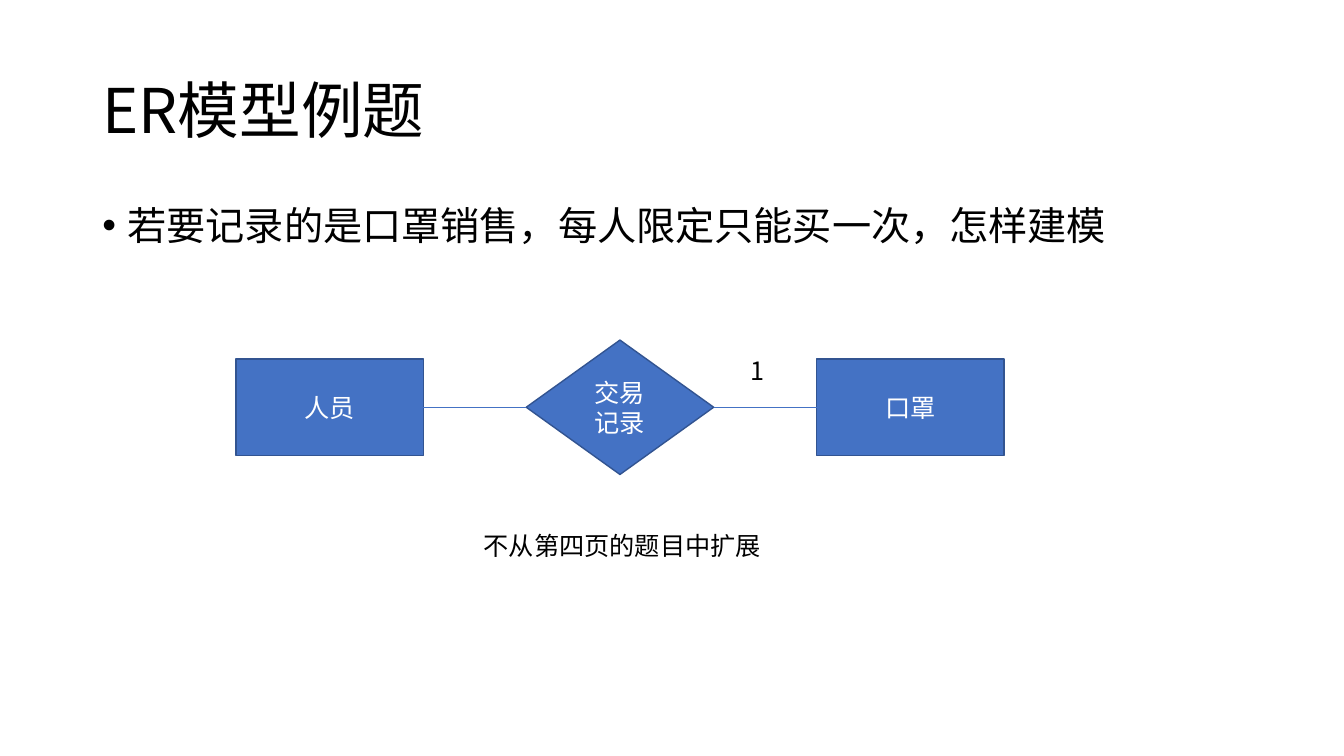
"""Build the slide with an ER model exercise on mask sales."""
from itertools import pairwise

from lxml.etree import SubElement
from pptx import Presentation
from pptx.dml.color import RGBColor
from pptx.enum.shapes import MSO_CONNECTOR, MSO_SHAPE
from pptx.enum.text import MSO_ANCHOR, PP_ALIGN
from pptx.oxml.ns import qn
from pptx.util import Pt

FONT = "Noto Sans CJK SC"
COLORS = {"text": "000000", "label": "FFFFFF", "fill": "4472C4", "outline": "325491"}
TITLE = ("ER模型例题", (66, 28.8, 828, 104.4))
QUESTION = ("若要记录的是口罩销售，每人限定只能买一次，怎样建模", (66, 144, 828, 342.7))
NOTES = [
    ("1", (529.2, 250.6, 33.8, 28.8)),
    ("不从第四页的题目中扩展", (338.4, 375.1, 383, 72.7)),
]
NODES = [
    ("人员", MSO_SHAPE.RECTANGLE, 69.1),
    ("交易记录", MSO_SHAPE.DIAMOND, 96),
    ("口罩", MSO_SHAPE.RECTANGLE, 69.1),
]
NODE_LEFT, NODE_WIDTH, NODE_STEP, NODE_MIDDLE = 168.5, 133.9, 207.4, 290.9
LEFT_SITE, RIGHT_SITE = 1, 3


def color(name):
    return RGBColor.from_string(COLORS[name])


def write(shape, text, size, ink="text", align=PP_ALIGN.LEFT, anchor=MSO_ANCHOR.TOP):
    frame = shape.text_frame
    frame.word_wrap = True
    frame.vertical_anchor = anchor
    para = frame.paragraphs[0]
    para.alignment = align
    span = para.add_run()
    span.text = text
    span.font.size = Pt(size)
    span.font.name = FONT
    span.font.color.rgb = color(ink)
    SubElement(span.font._element, qn("a:ea"), typeface=FONT)
    return para


def add_box(page, area):
    return page.shapes.add_textbox(*map(Pt, area))


def add_title(page):
    text, area = TITLE
    title = page.shapes.title
    title.left, title.top, title.width, title.height = map(Pt, area)
    write(title, text, 44, anchor=MSO_ANCHOR.MIDDLE).line_spacing = 0.9


def add_question(page):
    text, area = QUESTION
    para = write(add_box(page, area), text, 28)
    para.line_spacing = 0.9
    para.space_before = Pt(10)
    properties = para._p.get_or_add_pPr()
    properties.set("marL", str(Pt(18)))
    properties.set("indent", str(Pt(-18)))
    SubElement(properties, qn("a:buFont"), typeface="Arial")
    SubElement(properties, qn("a:buChar"), char="•")


def add_node(page, index, text, kind, height):
    left, top = NODE_LEFT + index * NODE_STEP, NODE_MIDDLE - height / 2
    node = page.shapes.add_shape(kind, Pt(left), Pt(top), Pt(NODE_WIDTH), Pt(height))
    node.shadow.inherit = False
    node.fill.solid()
    node.fill.fore_color.rgb = color("fill")
    node.line.color.rgb = color("outline")
    node.line.width = Pt(1)
    write(node, text, 18, "label", PP_ALIGN.CENTER, MSO_ANCHOR.MIDDLE)
    return node


def add_link(page, start, end):
    link = page.shapes.add_connector(MSO_CONNECTOR.STRAIGHT, 0, 0, 0, 0)
    link.begin_connect(start, RIGHT_SITE)
    link.end_connect(end, LEFT_SITE)
    link.line.color.rgb = color("fill")
    link.line.width = Pt(0.5)
    SubElement(link._element.spPr, qn("a:effectLst"))


def main():
    deck = Presentation()
    deck.slide_width, deck.slide_height = Pt(960), Pt(540)
    page = deck.slides.add_slide(deck.slide_layouts[5])
    add_title(page)
    add_question(page)
    nodes = [add_node(page, index, *node) for index, node in enumerate(NODES)]
    for start, end in pairwise(nodes):
        add_link(page, start, end)
    for text, area in NOTES:
        write(add_box(page, area), text, 18)
    deck.save("out.pptx")


if __name__ == "__main__":
    main()
